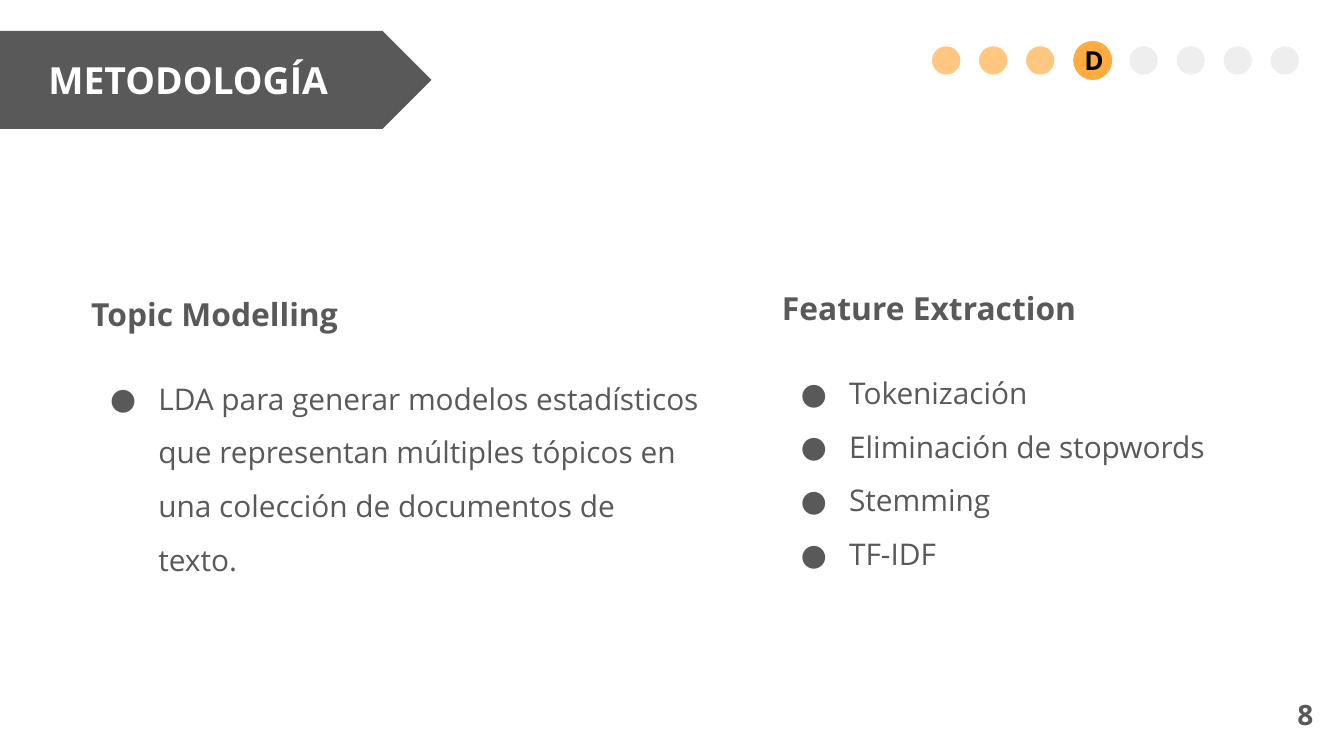
import dataclasses

import pptx
import pptx.dml.color
import pptx.enum.shapes
import pptx.enum.text
import pptx.oxml
import pptx.oxml.ns
import pptx.util
from pptx.util import Inches

Align = pptx.enum.text.PP_ALIGN
Anchor = pptx.enum.text.MSO_ANCHOR
Shape = pptx.enum.shapes.MSO_SHAPE


@dataclasses.dataclass(frozen=True)
class Theme:
    font: str = "Open Sans"
    gray: str = "595959"
    white: str = "FFFFFF"
    black: str = "000000"
    done: str = "FFC77F"
    current: str = "FFAB40"
    pending: str = "EEEEEE"
    title: int = 20
    heading: int = 17
    body: int = 16
    number: int = 15
    letter: int = 14


theme = Theme()


def style(paragraph, size, color, bold=True):
    font = paragraph.font
    font.name, font.size, font.bold = theme.font, pptx.util.Pt(size), bold
    font.color.rgb = pptx.dml.color.RGBColor.from_string(color)


def prepare_frame(shape, anchor=Anchor.TOP):
    """Set wrapping, margins and anchor; return the text frame."""
    frame = shape.text_frame
    frame.word_wrap = True
    frame.vertical_anchor = anchor
    frame.margin_left = frame.margin_right = Inches(0.1)
    frame.margin_top = frame.margin_bottom = Inches(0.1)
    return frame


deck = pptx.Presentation()
deck.slide_width = Inches(10)
deck.slide_height = Inches(10 * 9 / 16)
page = deck.slides.add_slide(deck.slide_layouts[6])

# Title banner, bleeding off the left edge
banner = page.shapes.add_shape(
    Shape.CHEVRON, Inches(-0.41), Inches(0.23), Inches(3.62), Inches(0.73))
banner.shadow.inherit = False
banner.fill.solid()
banner.fill.fore_color.rgb = pptx.dml.color.RGBColor.from_string(theme.gray)
banner.line.fill.background()
para = prepare_frame(banner, Anchor.MIDDLE).paragraphs[0]
para.text = "METODOLOGÍA"
para.alignment = Align.CENTER
style(para, theme.title, theme.white)

# Two columns: left, width, height, heading, heading line spacing, bullets
columns = [
    (0.58, 4.72, 2.16, "Topic Modelling", 1.15,
     ["LDA para generar modelos estadísticos que representan múltiples "
      "tópicos en una colección de documentos de texto."]),
    (5.72, 3.7, 1.83, "Feature Extraction", 1.0,
     ["Tokenización", "Eliminación de stopwords", "Stemming", "TF-IDF"]),
]
for left, width, height, heading, spacing, bullets in columns:
    box = page.shapes.add_textbox(
        Inches(left), Inches(2.05), Inches(width), Inches(height))
    frame = prepare_frame(box)
    para = frame.paragraphs[0]
    para.text = heading
    para.line_spacing = spacing
    style(para, theme.heading, theme.gray)
    for index, bullet in enumerate(bullets):
        para = frame.add_paragraph()
        para.text = bullet
        para.line_spacing = 1.5
        para.space_before = pptx.util.Pt(0 if index else 16)
        properties = para._p.get_or_add_pPr()
        properties.set("marL", str(Inches(0.5)))
        properties.set("indent", str(Inches(-0.36)))
        namespace = pptx.oxml.ns.nsdecls("a")
        for element in (
                f'<a:buClr {namespace}><a:srgbClr val="{theme.gray}"/></a:buClr>',
                f'<a:buFont {namespace} typeface="{theme.font}"/>',
                f'<a:buChar {namespace} char="●"/>'):
            properties.append(pptx.oxml.parse_xml(element))
        style(para, theme.body, theme.gray, bold=False)

# Progress dots: the current one is larger and pushes the rest right
dot, large, pitch, middle = 0.2, 0.28, 0.35, 0.45
colors = [theme.done] * 3 + [theme.current] + [theme.pending] * 4
current = colors.index(theme.current)
for index, color in enumerate(colors):
    size = large if index == current else dot
    left = 6.94 + pitch * index + (0.07 if index > current else 0)
    circle = page.shapes.add_shape(
        Shape.OVAL, Inches(left), Inches(middle - size / 2),
        Inches(size), Inches(size))
    circle.shadow.inherit = False
    circle.fill.solid()
    circle.fill.fore_color.rgb = pptx.dml.color.RGBColor.from_string(color)
    circle.line.color.rgb = pptx.dml.color.RGBColor.from_string(color)
    circle.line.width = pptx.util.Pt(0.75)

# Section letter and page number
labels = [
    (7.97, 0.23, 0.32, "D", theme.letter, theme.black, Align.LEFT, Anchor.TOP),
    (9.27, 5.1, 0.6, "8", theme.number, theme.gray, Align.RIGHT, Anchor.MIDDLE),
]
for left, top, width, text, size, color, alignment, anchor in labels:
    box = page.shapes.add_textbox(
        Inches(left), Inches(top), Inches(width), Inches(0.43))
    para = prepare_frame(box, anchor).paragraphs[0]
    para.text = text
    para.alignment = alignment
    style(para, size, color)

deck.save("out.pptx")
